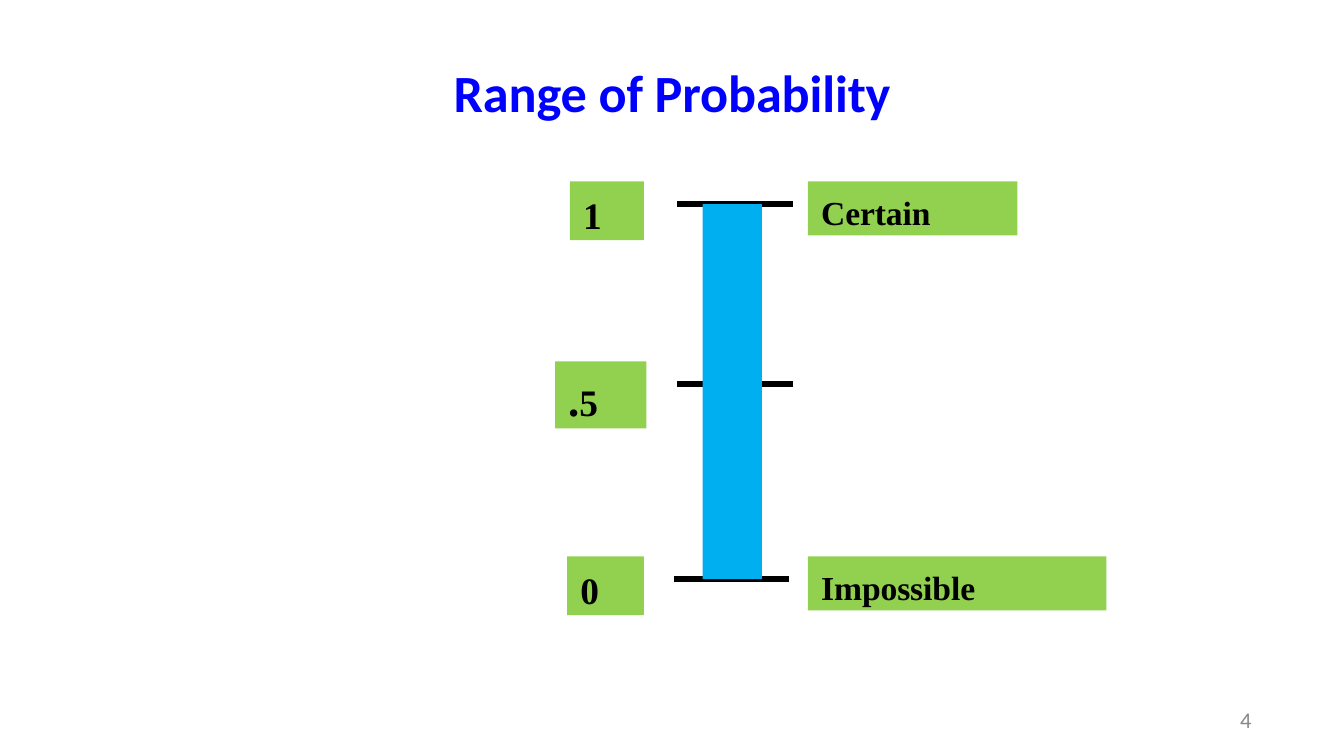
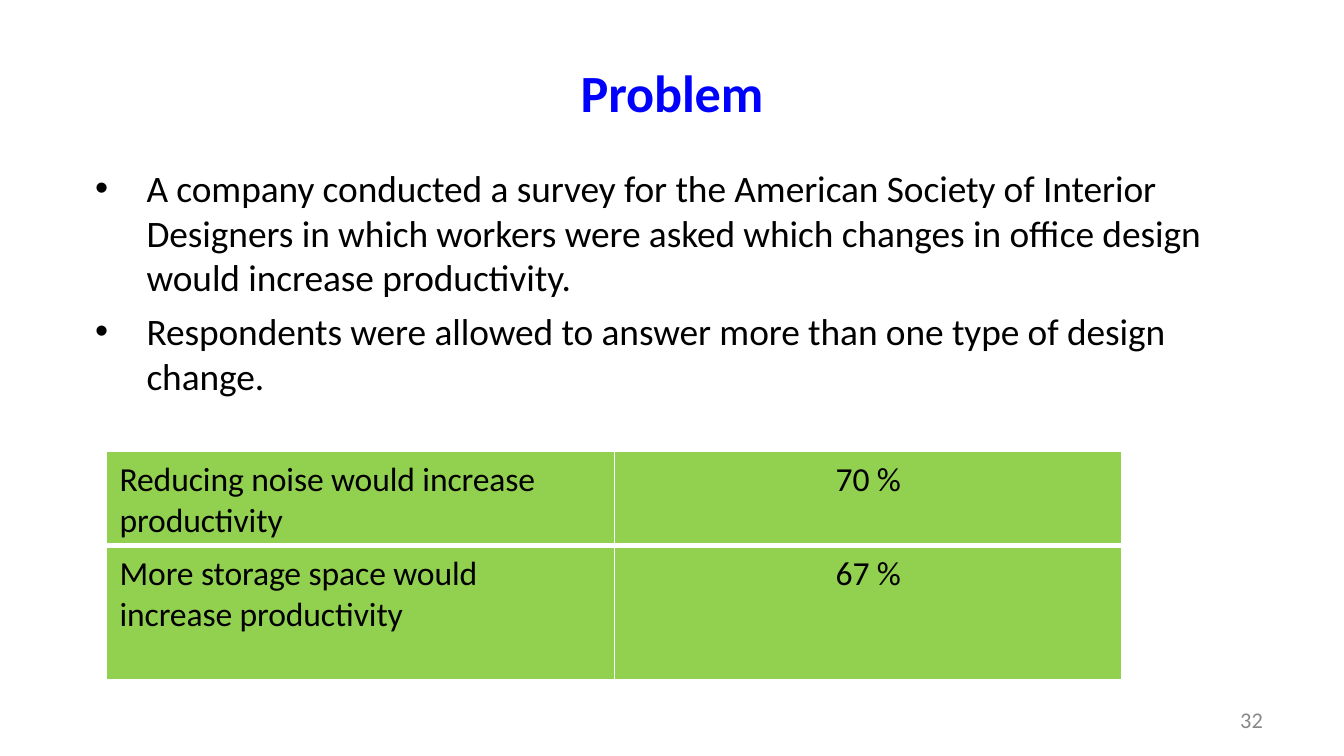
from lxml.etree import SubElement
from pptx import Presentation
from pptx.dml.color import RGBColor
from pptx.enum.shapes import MSO_CONNECTOR, MSO_SHAPE
from pptx.enum.text import MSO_ANCHOR, MSO_AUTO_SIZE, PP_ALIGN
from pptx.oxml import parse_xml
from pptx.oxml.ns import nsdecls, qn
from pptx.util import Cm, Pt

BLACK, WHITE, GREEN, BLUE = "000000", "FFFFFF", "92D050", "00AFEF"
TITLE_BLUE, GREY = "0000FF", "888888"
SANS, SERIF = "Calibri", "Times New Roman"
WIDTH, HEIGHT = 25.4, 14.29

LABELS = [
    ([("Certain", 18)], 15.27, 3.43, 3.96, 1.02),
    ([("Impossible", 18)], 15.27, 10.52, 5.64, 1.02),
    ([(".", 24), ("5", 20)], 10.49, 6.83, 1.73, 1.27),
    ([("1", 20)], 10.77, 3.43, 1.4, 1.11),
    ([("0", 20)], 10.72, 10.52, 1.45, 1.11),
]
BAR = (13.28, 3.86, 1.12, 7.09)
TICKS = [(12.8, 3.86), (12.8, 7.26), (12.73, 10.95)]
TICK_WIDTH = 2.18

BULLETS = [
    "A company conducted a survey for the American Society of Interior Designers in which "
    "workers were asked which changes in office design would increase productivity.",
    "Respondents were allowed to answer more than one type of design change.",
]
ROWS = [
    (["Reducing noise would increase productivity"], "70 %", 1.78),
    (["More storage space would", "increase productivity"], "67 %", 2.54),
]
COL_WIDTH = 9.6


def rgb(value):
    return RGBColor.from_string(value)


def style(r, size, color=BLACK, name=SANS, bold=False, tight=True):
    f = r.font
    f.size, f.name, f.bold = Pt(size), name, bold
    f.color.rgb = rgb(color)
    if tight:
        r._r.get_or_add_rPr().set("spc", "-5")


def frame(sp, left=0, top=0, wrap=True):
    tf = sp.text_frame
    tf.auto_size = MSO_AUTO_SIZE.NONE
    tf.word_wrap = wrap
    tf.vertical_anchor = MSO_ANCHOR.TOP
    tf.margin_left, tf.margin_top = Cm(left), Cm(top)
    tf.margin_right = tf.margin_bottom = 0
    return tf


def add_slide(prs, title, title_width, number):
    s = prs.slides.add_slide(prs.slide_layouts[5])
    sp = s.shapes.title
    sp.left, sp.top = Cm((WIDTH - title_width) / 2), Cm(1.07)
    sp.width, sp.height = Cm(title_width), Cm(1.24)
    tf = frame(sp, top=0.06, wrap=False)
    tf.text = title
    p = tf.paragraphs[0]
    p.alignment = PP_ALIGN.CENTER
    style(p.runs[0], 28, TITLE_BLUE, bold=True)

    tf = frame(s.shapes.add_textbox(Cm(23.34), Cm(13.41), Cm(0.69), Cm(0.48)), 0.1, wrap=False)
    tf.text = str(number)
    p = tf.paragraphs[0]
    p.line_spacing = Pt(12.4)
    style(p.runs[0], 12, GREY, tight=False)
    return s


def add_box(s, box, color):
    sp = s.shapes.add_shape(MSO_SHAPE.RECTANGLE, *map(Cm, box))
    sp.shadow.inherit = False
    sp.fill.solid()
    sp.fill.fore_color.rgb = rgb(color)
    sp.line.fill.background()
    return sp


def add_label(s, parts, *box):
    p = frame(add_box(s, box, GREEN), 0.25, 0.2).paragraphs[0]
    p.alignment = PP_ALIGN.LEFT
    for text, size in parts:
        r = p.add_run()
        r.text = text
        style(r, size, name=SERIF, bold=True)


def add_tick(s, x, y):
    line = s.shapes.add_connector(MSO_CONNECTOR.STRAIGHT, Cm(x), Cm(y), Cm(x + TICK_WIDTH), Cm(y))
    line.line.color.rgb = rgb(BLACK)
    line.line.width = Pt(3)
    SubElement(line._element.spPr, qn("a:effectLst"))


def add_bullets(s, items):
    tf = frame(s.shapes.add_textbox(Cm(1.78), Cm(3.05), Cm(21.06), Cm(4.47)), top=0.07)
    tf.text = "\n".join(items)
    for i, p in enumerate(tf.paragraphs):
        pPr = p._p.get_or_add_pPr()
        pPr.set("marL", str(Cm(0.99)))
        pPr.set("indent", str(-Cm(0.97)))
        SubElement(pPr, qn("a:buFont"), typeface="Arial")
        SubElement(pPr, qn("a:buChar"), char="•")
        if i:
            p.space_before = Pt(4.8)
        style(p.runs[0], 20)


def set_borders(cell, top, bottom):
    tcPr = cell._tc.get_or_add_tcPr()
    for i, (side, width) in enumerate([("L", 1), ("R", 1), ("T", top), ("B", bottom)]):
        tcPr.insert(i, parse_xml(
            f'<a:ln{side} {nsdecls("a")} w="{Pt(width)}"><a:solidFill>'
            f'<a:srgbClr val="{WHITE}"/></a:solidFill></a:ln{side}>'))


def fill_cell(cell, lines, align):
    cell.fill.solid()
    cell.fill.fore_color.rgb = rgb(GREEN)
    cell.margin_left = Cm(0.25) if align == PP_ALIGN.LEFT else 0
    cell.margin_top = Cm(0.16)
    cell.margin_right = cell.margin_bottom = 0
    cell.text_frame.text = "\n".join(lines)
    for p in cell.text_frame.paragraphs:
        p.alignment = align
        style(p.runs[0], 18)


def add_survey_table(s):
    height = sum(row[2] for row in ROWS)
    table = s.shapes.add_table(
        len(ROWS), 2, Cm(2.01), Cm(8.53), Cm(2 * COL_WIDTH), Cm(height)).table
    table.first_row = table.horz_banding = False
    for col in table.columns:
        col.width = Cm(COL_WIDTH)
    for i, (change, share, row_height) in enumerate(ROWS):
        table.rows[i].height = Cm(row_height)
        fill_cell(table.cell(i, 0), change, PP_ALIGN.LEFT)
        fill_cell(table.cell(i, 1), [share], PP_ALIGN.CENTER)
        for cell in table.rows[i].cells:
            set_borders(cell, 3 if i else 1, 1 if i else 3)


def main():
    prs = Presentation()
    prs.slide_width, prs.slide_height = Cm(WIDTH), Cm(HEIGHT)

    s = add_slide(prs, "Range of Probability", 8.36, 4)
    for label in LABELS:
        add_label(s, *label)
    for tick in TICKS:
        add_tick(s, *tick)
    add_box(s, BAR, BLUE)

    s = add_slide(prs, "Problem", 3.53, 32)
    add_bullets(s, BULLETS)
    add_survey_table(s)

    prs.save("out.pptx")


if __name__ == "__main__":
    main()
